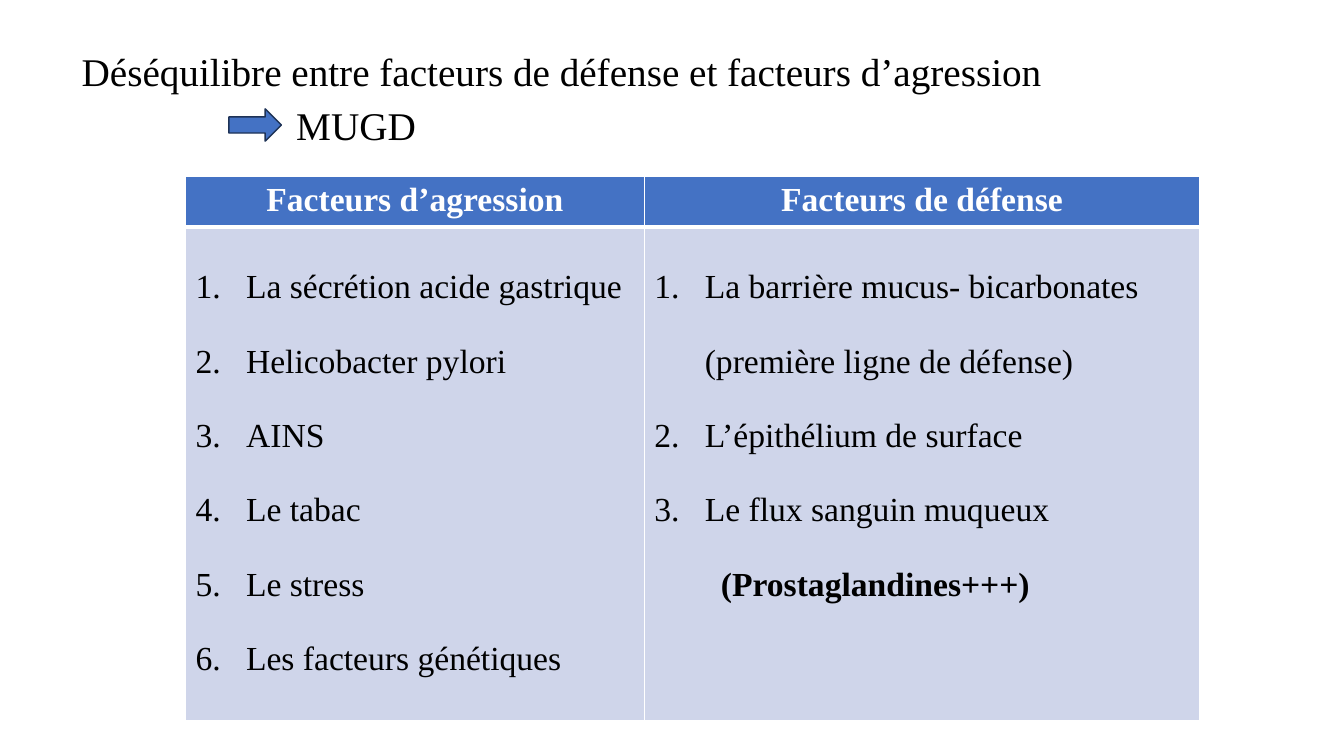
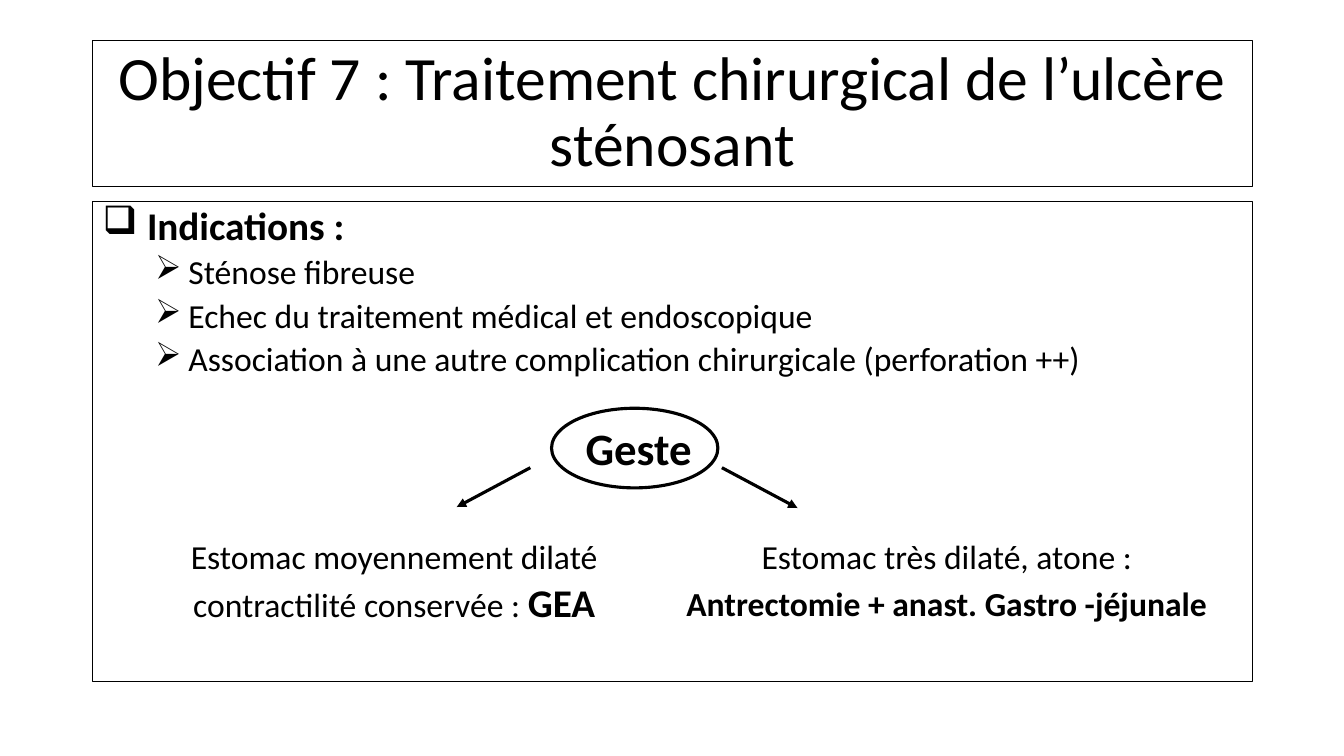
from dataclasses import dataclass
from typing import Optional

from lxml.etree import SubElement
from pptx import Presentation
from pptx.dml.color import RGBColor
from pptx.enum.shapes import MSO_CONNECTOR, MSO_SHAPE
from pptx.enum.text import MSO_ANCHOR, MSO_AUTO_SIZE, PP_ALIGN
from pptx.oxml.ns import qn
from pptx.util import Emu, Pt

EMU_PER_PX = 9144  # 100 px to the inch
COLORS = {
    "text": "000000",
    "white": "FFFFFF",
    "accent": "4472C4",
    "accent_edge": "1E3256",
    "cell": "CFD5EA",
}
SERIF, SANS = "Times New Roman", "Calibri"
CENTER, LEFT = PP_ALIGN.CENTER, PP_ALIGN.LEFT


@dataclass(frozen=True)
class Box:
    left: int
    top: int
    width: int
    height: int

    def emu(self) -> tuple:
        return tuple(px(v) for v in (self.left, self.top, self.width, self.height))


@dataclass(frozen=True)
class Run:
    text: str
    size: int = 24
    bold: bool = False


@dataclass(frozen=True)
class Para:
    runs: tuple
    bullet: Optional[str] = None  # a character, or "1." for numbering
    margin: int = 0
    hanging: int = 0
    before: int = 0


@dataclass(frozen=True)
class Factors:
    heading: str
    width: int
    items: tuple


@dataclass(frozen=True)
class Outcome:
    box: Box
    paras: tuple
    arrow: tuple  # x1, y1, x2, y2


def px(value: int) -> Emu:
    return Emu(value * EMU_PER_PX)


def rgb(name: str) -> RGBColor:
    return RGBColor.from_string(COLORS[name])


def write(frame, paras: tuple, *, font: str = SANS, color: str = "text",
          align=LEFT, spacing: float = 0.9) -> None:
    """Fill a text frame with formatted paragraphs."""
    for index, para in enumerate(paras):
        p = frame.paragraphs[0] if index == 0 else frame.add_paragraph()
        props = p._p.get_or_add_pPr()
        props.set("marL", str(px(para.margin)))
        props.set("indent", str(px(-para.hanging)))
        if para.bullet == "1.":
            SubElement(props, qn("a:buAutoNum"), type="arabicPeriod")
        elif para.bullet:
            SubElement(props, qn("a:buChar"), char=para.bullet)
        else:
            SubElement(props, qn("a:buNone"))
        p.alignment, p.line_spacing = align, spacing
        p.space_before = Pt(para.before)
        for part in para.runs:
            run = p.add_run()
            run.text = part.text
            run.font.name, run.font.size = font, Pt(part.size)
            run.font.bold = part.bold
            run.font.color.rgb = rgb(color)


def outline(shape, color: str = "text", width: float = 0.75) -> None:
    shape.line.color.rgb = rgb(color)
    shape.line.width = Pt(width)


def add_title(slide, box: Box, text: str, size: int, *, font: str = SANS,
              align=LEFT, anchor=MSO_ANCHOR.TOP):
    title = slide.shapes.title
    title.left, title.top, title.width, title.height = box.emu()
    frame = title.text_frame
    frame.auto_size, frame.word_wrap = MSO_AUTO_SIZE.NONE, True
    frame.vertical_anchor = anchor
    write(frame, (Para((Run(text, size),)),), font=font, align=align)
    return title


def add_text(slide, box: Box, paras: tuple, **formats):
    label = slide.shapes.add_textbox(*box.emu())
    label.text_frame.word_wrap = True
    write(label.text_frame, paras, **formats)
    return label


def add_figure(slide, preset, box: Box, edge: str, width: float,
               fill: Optional[str] = None):
    figure = slide.shapes.add_shape(preset, *box.emu())
    figure.shadow.inherit = False
    if fill:
        figure.fill.solid()
        figure.fill.fore_color.rgb = rgb(fill)
    else:
        figure.fill.background()
    outline(figure, edge, width)
    return figure


def add_arrow(slide, ends: tuple) -> None:
    arrow = slide.shapes.add_connector(MSO_CONNECTOR.STRAIGHT, *map(px, ends))
    outline(arrow, width=2.25)
    SubElement(arrow.line._get_or_add_ln(), qn("a:tailEnd"), type="triangle")
    SubElement(arrow._element.spPr, qn("a:effectLst"))


def paint_cell(cell, fill: str, borders: dict) -> None:
    """Set the white borders (points by side), then the fill."""
    props = cell._tc.get_or_add_tcPr()
    for side, points in borders.items():
        edge = SubElement(props, qn(f"a:ln{side}"), w=str(Pt(points)))
        solid = SubElement(edge, qn("a:solidFill"))
        SubElement(solid, qn("a:srgbClr"), val=COLORS["white"])
    cell.fill.solid()
    cell.fill.fore_color.rgb = rgb(fill)


def numbered(text: str) -> Para:
    return Para((Run(text),), "1.", 50, 50)


def indication(text: str) -> Para:
    return Para((Run(text),), "➢", 85, 33, 5)


FACTORS = (
    Factors("Facteurs d’agression", 455, tuple(map(numbered, (
        "La sécrétion acide gastrique", "Helicobacter pylori", "AINS",
        "Le tabac", "Le stress", "Les facteurs génétiques")))),
    Factors("Facteurs de défense", 551, tuple(map(numbered, (
        "La barrière mucus- bicarbonates (première ligne de défense)",
        "L’épithélium de surface", "Le flux sanguin muqueux")))
        + (Para((Run("(Prostaglandines+++)", bold=True),), margin=66),)),
)

INDICATIONS = (
    Para((Run("Indications :", 28, True),), "❑", 44, 44),
    indication("Sténose fibreuse"),
    indication("Echec du traitement médical et endoscopique"),
    indication("Association à une autre complication chirurgicale (perforation ++)"),
)

OUTCOMES = (
    Outcome(Box(151, 531, 480, 100), (
        Para((Run("Estomac moyennement dilaté"),)),
        Para((Run("contractilité conservée : "), Run("GEA", 28, True)), before=5),
    ), (526, 464, 453, 503)),
    Outcome(Box(649, 531, 580, 100), (
        Para((Run("Estomac très dilaté, atone :"),)),
        Para((Run("Antrectomie + anast. Gastro -jéjunale", bold=True),), before=8),
    ), (716, 464, 791, 504)),
)


def build_factors(slide) -> None:
    # Heading and its consequence
    add_title(slide, Box(71, 47, 1150, 52),
              "Déséquilibre entre facteurs de défense et facteurs d’agression",
              28, font=SERIF)
    add_figure(slide, MSO_SHAPE.RIGHT_ARROW, Box(227, 108, 52, 32),
               "accent_edge", 1, "accent")
    add_text(slide, Box(284, 101, 300, 50), (Para((Run("MUGD", 28),)),), font=SERIF)

    # Factors side by side
    rows = (46, 452)
    width = sum(factors.width for factors in FACTORS)
    table = slide.shapes.add_table(
        2, len(FACTORS), *Box(184, 175, width, sum(rows)).emu()).table
    table.horz_banding = False
    for row, height in zip(table.rows, rows):
        row.height = px(height)
    for index, factors in enumerate(FACTORS):
        table.columns[index].width = px(factors.width)
        head, body = table.cell(0, index), table.cell(1, index)
        write(head.text_frame, (Para((Run(factors.heading, bold=True),)),),
              font=SERIF, color="white", align=CENTER, spacing=1.0)
        write(body.text_frame, factors.items, font=SERIF, spacing=2.0)
        paint_cell(head, "accent", {"L": 1, "R": 1, "T": 1, "B": 3})
        paint_cell(body, "cell", {"L": 1, "R": 1, "T": 3, "B": 1})


def build_surgery(slide) -> None:
    # Framed title and indications
    title = add_title(slide, Box(92, 40, 1150, 145),
                      "Objectif 7 : Traitement chirurgical de l’ulcère sténosant",
                      44, align=CENTER, anchor=MSO_ANCHOR.MIDDLE)
    outline(title)
    outline(add_text(slide, Box(92, 200, 1150, 476), INDICATIONS))

    # Procedure and the two cases it leads to
    procedure = add_figure(slide, MSO_SHAPE.OVAL, Box(547, 405, 165, 79), "text", 2.25)
    frame = procedure.text_frame
    frame.word_wrap, frame.vertical_anchor = False, MSO_ANCHOR.MIDDLE
    frame.margin_left, frame.margin_top = px(8), px(6)
    frame.margin_right = frame.margin_bottom = 0
    write(frame, (Para((Run("Geste", 32, True),)),), align=CENTER)
    for outcome in OUTCOMES:
        add_arrow(slide, outcome.arrow)
        add_text(slide, outcome.box, outcome.paras, align=CENTER)


def main() -> None:
    deck = Presentation()
    deck.slide_width, deck.slide_height = px(1333), px(750)
    title_only = deck.slide_layouts[5]
    for build in (build_factors, build_surgery):
        build(deck.slides.add_slide(title_only))
    deck.save("out.pptx")


if __name__ == "__main__":
    main()
